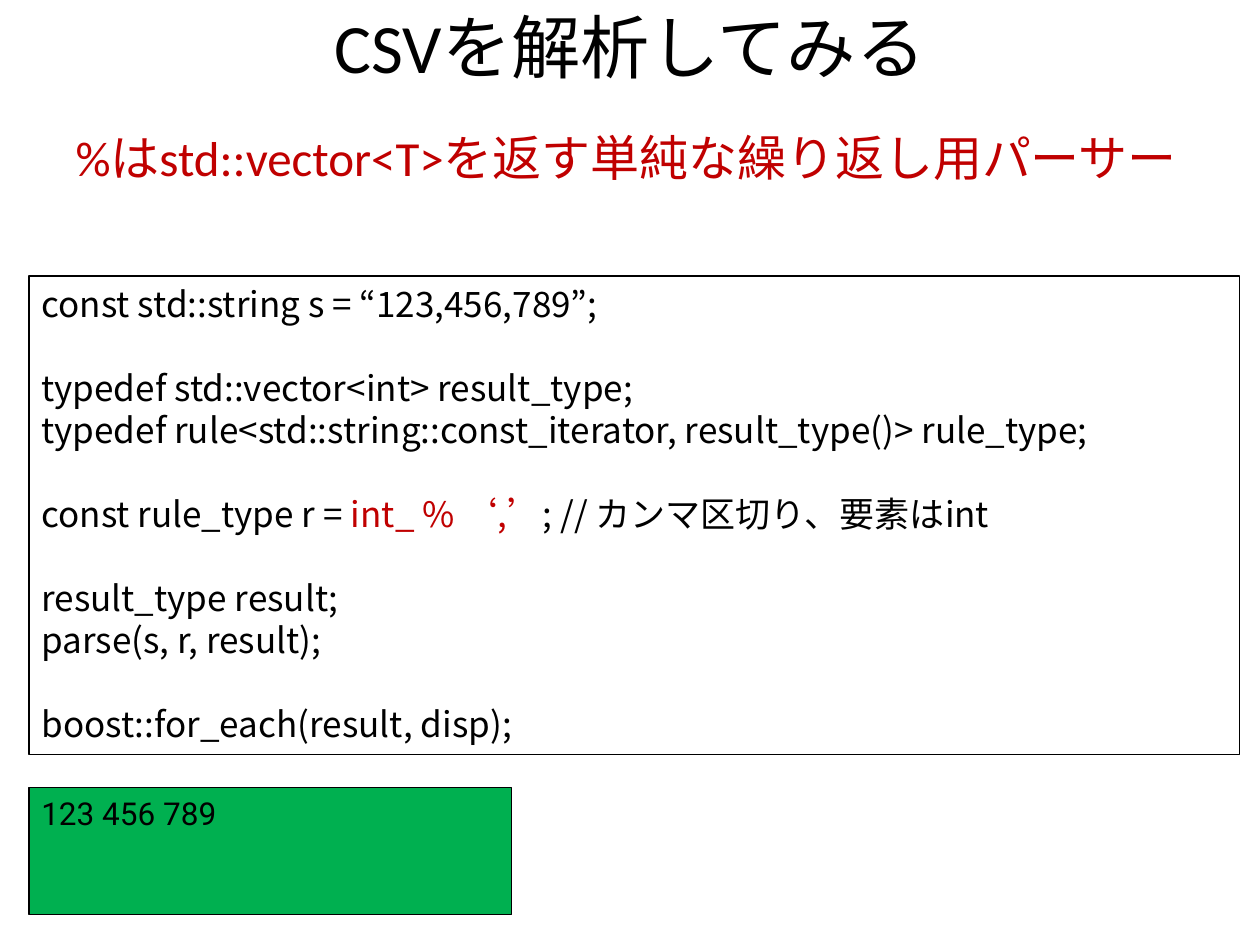
from lxml import etree
from pptx import Presentation
from pptx.dml.color import RGBColor
from pptx.enum.shapes import MSO_SHAPE
from pptx.enum.text import MSO_ANCHOR, MSO_AUTO_SIZE, PP_ALIGN
from pptx.oxml.ns import qn
from pptx.util import Inches, Pt

RECTANGLE = MSO_SHAPE.RECTANGLE
TOP, MIDDLE = MSO_ANCHOR.TOP, MSO_ANCHOR.MIDDLE
LEFT, CENTER = PP_ALIGN.LEFT, PP_ALIGN.CENTER
NO_FIT = MSO_AUTO_SIZE.NONE

BLACK = RGBColor(0x00, 0x00, 0x00)
RED = RGBColor(0xC0, 0x00, 0x00)
GREEN = RGBColor(0x00, 0xB0, 0x50)

HEADING_FONT = "Calibri"
CODE_FONT = "Noto Sans CJK JP"
OUTPUT_FONT = "Roboto"
CODE_LINE = Pt(24)

CODE_GROUPS = [
    [[("const std::string s = “123,456,789”;", BLACK)]],
    [
        [("typedef std::vector<int> result_type;", BLACK)],
        [("typedef rule<std::string::const_iterator, result_type()> rule_type;", BLACK)],
    ],
    [[
        ("const rule_type r = ", BLACK),
        ("int_ % ‘,’", RED),
        ("; // カンマ区切り、要素はint", BLACK),
    ]],
    [[("result_type result;", BLACK)], [("parse(s, r, result);", BLACK)]],
    [[("boost::for_each(result, disp);", BLACK)]],
]


def place(shape, box):
    shape.left, shape.top, shape.width, shape.height = map(Inches, box)


def add_span(para, text, font, size, color):
    span = para.add_run()
    span.text = text
    span.font.name = font
    span.font.size = Pt(size)
    span.font.color.rgb = color
    east_asian = etree.SubElement(span.font._element, qn("a:ea"))
    east_asian.set("typeface", CODE_FONT)


def fill_title(title, box):
    place(title, box)
    frame = title.text_frame
    frame.auto_size = NO_FIT
    frame.vertical_anchor = MIDDLE
    para = frame.paragraphs[0]
    para.alignment = CENTER
    add_span(para, "CSVを解析してみる", HEADING_FONT, 39.6, BLACK)


def fill_body(body, box):
    place(body, box)
    body.text_frame.auto_size = NO_FIT
    para = body.text_frame.paragraphs[0]
    para.line_spacing = Pt(33)
    properties = para._p.get_or_add_pPr()
    properties.set("marL", str(Inches(0.38)))
    properties.set("indent", str(Inches(-0.38)))
    etree.SubElement(properties, qn("a:buNone"))
    add_span(para, "%はstd::vector<T>を返す単純な繰り返し用パーサー", HEADING_FONT, 28, RED)


def add_panel(page, box, fill=None):
    panel = page.shapes.add_shape(RECTANGLE, *map(Inches, box))
    panel.shadow.inherit = False
    if fill is None:
        panel.fill.background()
    else:
        panel.fill.solid()
        panel.fill.fore_color.rgb = fill
    panel.line.color.rgb = BLACK
    panel.line.width = Pt(0.75)
    frame = panel.text_frame
    frame.word_wrap = True
    frame.vertical_anchor = TOP
    frame.paragraphs[0].alignment = LEFT
    return frame


def add_code(page, box):
    frame = add_panel(page, box)
    for group_index, group in enumerate(CODE_GROUPS):
        for line_index, line in enumerate(group):
            first = group_index == line_index == 0
            para = frame.paragraphs[0] if first else frame.add_paragraph()
            para.alignment = LEFT
            para.line_spacing = CODE_LINE
            if group_index and line_index == 0:
                para.space_before = CODE_LINE
            for text, color in line:
                add_span(para, text, CODE_FONT, 20, color)


def add_output(page, box):
    frame = add_panel(page, box, GREEN)
    add_span(frame.paragraphs[0], "123 456 789", OUTPUT_FONT, 18, BLACK)


def main():
    deck = Presentation()
    deck.slide_width, deck.slide_height = Inches(10), Inches(7.5)
    page = deck.slides.add_slide(deck.slide_layouts[1])
    fill_title(page.shapes.title, (0.5, 0, 9, 0.72))
    fill_body(page.placeholders[1], (0.5, 0.97, 9, 1.3))
    add_code(page, (0.23, 2.19, 9.61, 3.8))
    add_output(page, (0.23, 6.25, 3.83, 1.01))
    deck.save("out.pptx")


if __name__ == "__main__":
    main()
